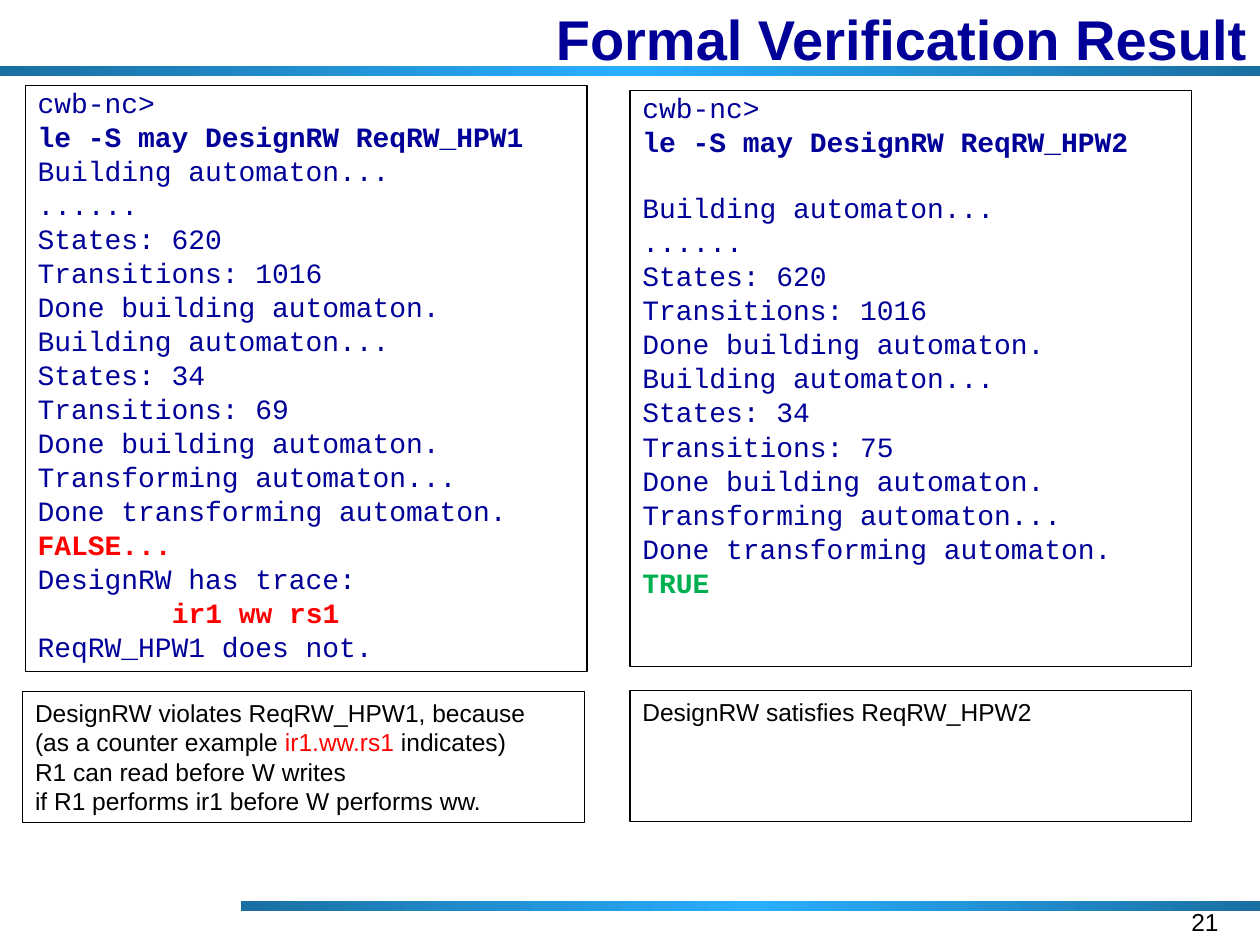
from lxml.etree import SubElement
from pptx import Presentation
from pptx.dml.color import RGBColor
from pptx.enum.shapes import MSO_SHAPE
from pptx.enum.text import MSO_ANCHOR, PP_ALIGN
from pptx.oxml.ns import qn
from pptx.util import Inches, Pt

# Grid of 100 columns by 75 rows on a 10 x 7.5 inch slide
CELL = Inches(0.1)
COLUMNS, ROWS = 100, 75
PANEL_WIDTH = 44.6

NAVY, RED, GREEN, BLACK = "000099", "FF0000", "00B050", "000000"
BAR_STOPS = ((0, "1A6FA2"), (50, "29AFFF"), (100, "1A6FA2"))

CODE_SIZE = 16
CODE_GAP = 4.1
CODE_LINE = 18.5
CODE_CHARACTER = 0.6 * CODE_SIZE


def color(value):
    return RGBColor.from_string(value)


def place(*cells):
    return [round(cell * CELL) for cell in cells]


def add_bar(page, *cells):
    bar = page.shapes.add_shape(MSO_SHAPE.RECTANGLE, *place(*cells))
    bar.shadow.inherit = False
    bar.line.fill.background()
    bar.fill.gradient()
    bar.fill.gradient_angle = 0
    stops = bar._element.spPr.find(qn("a:gradFill")).find(qn("a:gsLst"))
    stops.clear()
    for position, value in BAR_STOPS:
        stop = SubElement(stops, qn("a:gs"), pos=str(position * 1000))
        SubElement(stop, qn("a:srgbClr"), val=value)


def add_box(page, *cells, anchor=MSO_ANCHOR.TOP, border=None):
    box = page.shapes.add_textbox(*place(*cells))
    box.text_frame.word_wrap = True
    box.text_frame.vertical_anchor = anchor
    if border:
        box.line.color.rgb = color(border)
        box.line.width = Pt(0.75)
    return box.text_frame


def next_para(frame, index):
    return frame.add_paragraph() if index else frame.paragraphs[0]


def add_span(para, text, size, value, font="Arial", bold=False):
    span = para.add_run()
    span.text = text
    span.font.name = font
    span.font.size = Pt(size)
    span.font.bold = bold
    span.font.color.rgb = color(value)


def add_label(page, text, size, value, *cells, bold=False, anchor=MSO_ANCHOR.TOP):
    para = add_box(page, *cells, anchor=anchor).paragraphs[0]
    para.alignment = PP_ALIGN.RIGHT
    add_span(para, text, size, value, bold=bold)


def add_console(page, lines, *cells):
    """Each line is (text, colour, bold, indent in characters, blank lines above)."""
    frame = add_box(page, *cells, border=BLACK)
    for index, (text, value, bold, indent, skipped) in enumerate(lines):
        para = next_para(frame, index)
        para.line_spacing = 0.8
        para.space_before = Pt(CODE_GAP + skipped * CODE_LINE)
        if indent:
            para._p.get_or_add_pPr().set("marL", str(Pt(indent * CODE_CHARACTER)))
        add_span(para, text, CODE_SIZE, value, "Courier New", bold)


def add_remark(page, lines, *cells):
    frame = add_box(page, *cells, border=BLACK)
    for index, spans in enumerate(lines):
        para = next_para(frame, index)
        for text, value in spans:
            add_span(para, text, 14, value)


def plain(text, skipped=0):
    return text, NAVY, False, 0, skipped


def strong(text, value, indent=0):
    return text, value, True, indent, 0


def session(requirement, transitions, verdict, skipped=0):
    """Console log of one check; only the marked parts differ between checks."""
    return [
        plain("cwb-nc>"),
        strong(f"le -S may DesignRW {requirement}", NAVY),
        plain("Building automaton...", skipped),
        *map(plain, (
            "......",
            "States: 620",
            "Transitions: 1016",
            "Done building automaton.",
            "Building automaton...",
            "States: 34",
            f"Transitions: {transitions}",
            "Done building automaton.",
            "Transforming automaton...",
            "Done transforming automaton.",
        )),
        *verdict,
    ]


def main():
    deck = Presentation()
    deck.slide_width, deck.slide_height = place(COLUMNS, ROWS)
    page = deck.slides.add_slide(deck.slide_layouts[6])

    # Frame of the slide
    add_bar(page, 0, 5.2, COLUMNS, 0.8)
    add_bar(page, 19.1, 71.5, 80.9, 0.8)
    add_label(page, "Formal Verification Result", 32, NAVY, 10, 0, 90, 6,
              bold=True, anchor=MSO_ANCHOR.MIDDLE)
    add_label(page, "21", 14, BLACK, 74.4, 71.5, 23.3, 3.5)

    # Console logs
    violated = [
        strong("FALSE...", RED),
        plain("DesignRW has trace:"),
        strong("ir1 ww rs1", RED, indent=8),
        plain("ReqRW_HPW1 does not."),
    ]
    add_console(page, session("ReqRW_HPW1", 69, violated),
                2, 6.8, PANEL_WIDTH, 46.5)
    add_console(page, session("ReqRW_HPW2", 75, [strong("TRUE", GREEN)], skipped=1),
                50, 7.2, PANEL_WIDTH, 45.7)

    # Conclusions
    add_remark(page, [
        [("DesignRW violates ReqRW_HPW1, because", BLACK)],
        [("(as a counter example ", BLACK), ("ir1.ww.rs1", RED), (" indicates)", BLACK)],
        [("R1 can read before W writes", BLACK)],
        [("if R1 performs ir1 before W performs ww.", BLACK)],
    ], 1.8, 54.9, PANEL_WIDTH, 10.4)
    add_remark(page, [[("DesignRW satisfies ReqRW_HPW2", BLACK)]],
               50, 54.8, PANEL_WIDTH, 10.4)

    deck.save("out.pptx")


main()
